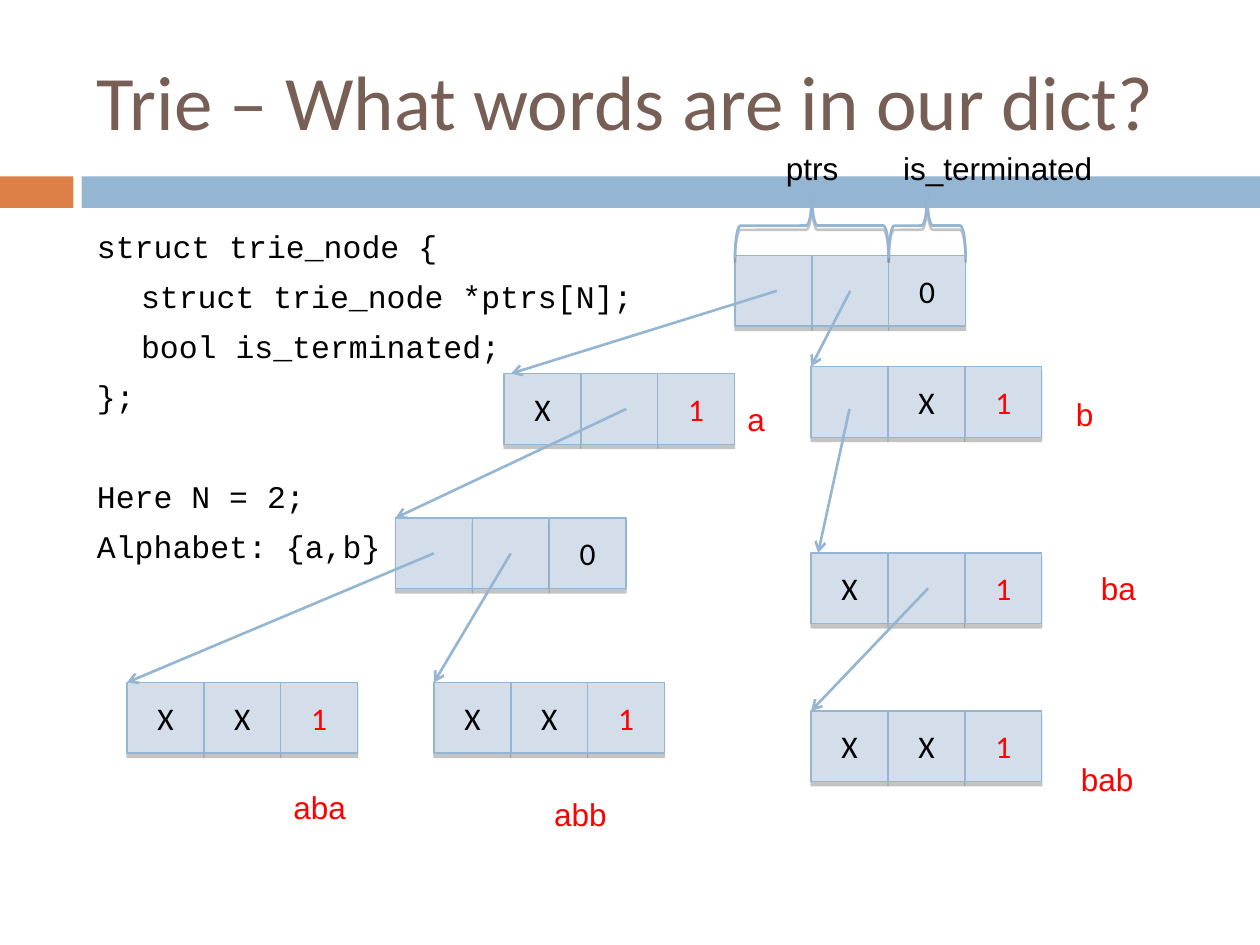
"""Builds a slide showing a trie over the alphabet {a, b} and the words it holds."""
from lxml.etree import SubElement
from pptx import Presentation
from pptx.dml.color import RGBColor
from pptx.enum.shapes import MSO_CONNECTOR as CONN, MSO_SHAPE as SHAPE
from pptx.enum.text import MSO_ANCHOR as ANCHOR, MSO_AUTO_SIZE as AUTO, PP_ALIGN as ALIGN
from pptx.oxml.ns import qn
from pptx.util import Pt

BLUE, PALE, ORANGE = "94B6D2", "D3DEEA", "DD8047"
BROWN, BLACK, RED, GREY = "775F55", "000000", "FF0000", "808080"
CELL_W, CELL_H = 43.92, 40.4

TITLE = "Trie – What words are in our dict?"
CODE = [  # text, left indent, space before
    ("struct trie_node {", 0, 0),
    ("struct trie_node *ptrs[N];", 25.2, 7),
    ("bool is_terminated;", 25.2, 7),
    ("};", 0, 7),
    ("Here N = 2;", 0, 35.6),
    ("Alphabet: {a,b}", 0, 7),
]
BARS = [(0, 42, ORANGE), (46.6, 673.4, BLUE)]
NODES = {
    "root": (420, 146, ["", "", "0"]),
    "a": (288, 213.5, ["X", "", "1"]),
    "b": (463.5, 209.5, ["", "X", "1"]),
    "ab": (226, 296, ["", "", "0"]),
    "ba": (463.5, 316, ["X", "", "1"]),
    "bab": (463.5, 406.2, ["X", "X", "1"]),
    "abb": (248, 390, ["X", "X", "1"]),
    "aba": (72.6, 390, ["X", "X", "1"]),
}
ARROWS = [  # parent, pointer index, child, start shift right and down, end shift right
    ("ab", 0, "aba", 0, 0, 0),
    ("ab", 1, "abb", 0, 0, 0),
    ("root", 0, "a", 2, 0, 4),
    ("root", 1, "b", 0, 0, 0),
    ("a", 1, "ab", 4, 0, 0),
    ("b", 0, "ba", 0, 4, 4),
    ("ba", 1, "bab", 1, 0, 0),
]
LABELS = [
    ("a", 420, 224.8, 24.5, RED),
    ("b", 607.7, 222, 24.5, RED),
    ("aba", 160.5, 446.6, 46, RED),
    ("abb", 309.6, 450.5, 46, RED),
    ("bab", 610.5, 430.5, 46, RED),
    ("ba", 622, 321.8, 36, RED),
    ("ptrs", 442, 81.6, 46, BLACK),
    ("is_terminated", 509, 81.6, 123, BLACK),
]
BRACES = [(0, 2), (2, 1)]
BRACE_TOP, BRACE_DEPTH = 110.2, 37.4


def rgb(value):
    return RGBColor.from_string(value)


def write(p, text, font, size, color):
    r = p.add_run()
    r.text = text
    r.font.name, r.font.size = font, Pt(size)
    r.font.color.rgb = rgb(color)


def drop_shadow(sp):
    effects = sp._element.spPr.find(qn("a:effectLst"))
    shadow = SubElement(effects, qn("a:outerShdw"), blurRad="0", dist=str(Pt(2.4)),
                        dir="5400000", algn="ctr", rotWithShape="0")
    color = SubElement(shadow, qn("a:srgbClr"), val=GREY)
    SubElement(color, qn("a:alpha"), val="45000")


def add_shape(s, kind, x, y, w, h, fill=None, line=None, width=1.5):
    sp = s.shapes.add_shape(kind, Pt(x), Pt(y), Pt(w), Pt(h))
    sp.shadow.inherit = False
    if fill:
        sp.fill.solid()
        sp.fill.fore_color.rgb = rgb(fill)
    else:
        sp.fill.background()
    if line:
        sp.line.color.rgb = rgb(line)
        sp.line.width = Pt(width)
        drop_shadow(sp)
    else:
        sp.line.fill.background()
    return sp


def place(sp, x, y, w, h):
    sp.left, sp.top, sp.width, sp.height = Pt(x), Pt(y), Pt(w), Pt(h)
    tf = sp.text_frame
    tf.auto_size, tf.word_wrap = AUTO.NONE, True
    return tf


def add_texts(s):
    tf = place(s.shapes.title, 48.2, 18, 642, 78)
    tf.vertical_anchor = ANCHOR.MIDDLE
    tf.paragraphs[0].alignment = ALIGN.LEFT
    write(tf.paragraphs[0], TITLE, "Calibri", 44, BROWN)

    tf = place(s.placeholders[1], 48.2, 126, 642, 354)
    for i, (text, indent, before) in enumerate(CODE):
        p = tf.add_paragraph() if i else tf.paragraphs[0]
        pPr = p._p.get_or_add_pPr()
        pPr.set("marL", str(Pt(indent)))
        pPr.set("indent", "0")
        SubElement(pPr, qn("a:buNone"))
        p.space_before = Pt(before)
        write(p, text, "Courier New", 18, BLACK)


def add_node(s, x, y, values):
    for i, value in enumerate(values):
        sp = add_shape(s, SHAPE.RECTANGLE, x + i * CELL_W, y, CELL_W, CELL_H, PALE, BLUE, 0.79)
        if value:
            tf = sp.text_frame
            tf.vertical_anchor = ANCHOR.MIDDLE
            tf.paragraphs[0].alignment = ALIGN.CENTER
            write(tf.paragraphs[0], value, "Calibri", 18, RED if value == "1" else BLACK)


def add_arrow(s, parent, pointer, child, right, down, end):
    x1, y1, _ = NODES[parent]
    x2, y2, _ = NODES[child]
    line = s.shapes.add_connector(
        CONN.STRAIGHT, Pt(x1 + (pointer + 0.5) * CELL_W + right), Pt(y1 + CELL_H / 2 + down),
        Pt(x2 + end), Pt(y2))
    line.line.color.rgb = rgb(BLUE)
    line.line.width = Pt(1.5)
    SubElement(line.line._get_or_add_ln(), qn("a:tailEnd"), type="arrow")
    SubElement(line._element.spPr, qn("a:effectLst"))


def add_brace(s, first, count):
    span = count * CELL_W
    mid_x = NODES["root"][0] + first * CELL_W + span / 2
    mid_y = BRACE_TOP + BRACE_DEPTH / 2
    sp = add_shape(s, SHAPE.LEFT_BRACE, mid_x - BRACE_DEPTH / 2, mid_y - span / 2,
                   BRACE_DEPTH, span, line=BLUE)
    sp.rotation = 90


def add_label(s, text, x, y, w, color):
    tf = s.shapes.add_textbox(Pt(x), Pt(y), Pt(w), Pt(29)).text_frame
    tf.auto_size, tf.word_wrap = AUTO.SHAPE_TO_FIT_TEXT, False
    write(tf.paragraphs[0], text, "Arial", 18, color)


def main():
    prs = Presentation()
    prs.slide_width, prs.slide_height = Pt(720), Pt(540)
    s = prs.slides.add_slide(prs.slide_layouts[1])
    for x, w, color in BARS:
        add_shape(s, SHAPE.RECTANGLE, x, 100.8, w, 18, color)
    add_texts(s)
    for node in NODES.values():
        add_node(s, *node)
    for arrow in ARROWS:
        add_arrow(s, *arrow)
    for brace in BRACES:
        add_brace(s, *brace)
    for label in LABELS:
        add_label(s, *label)
    prs.save("out.pptx")


if __name__ == "__main__":
    main()
